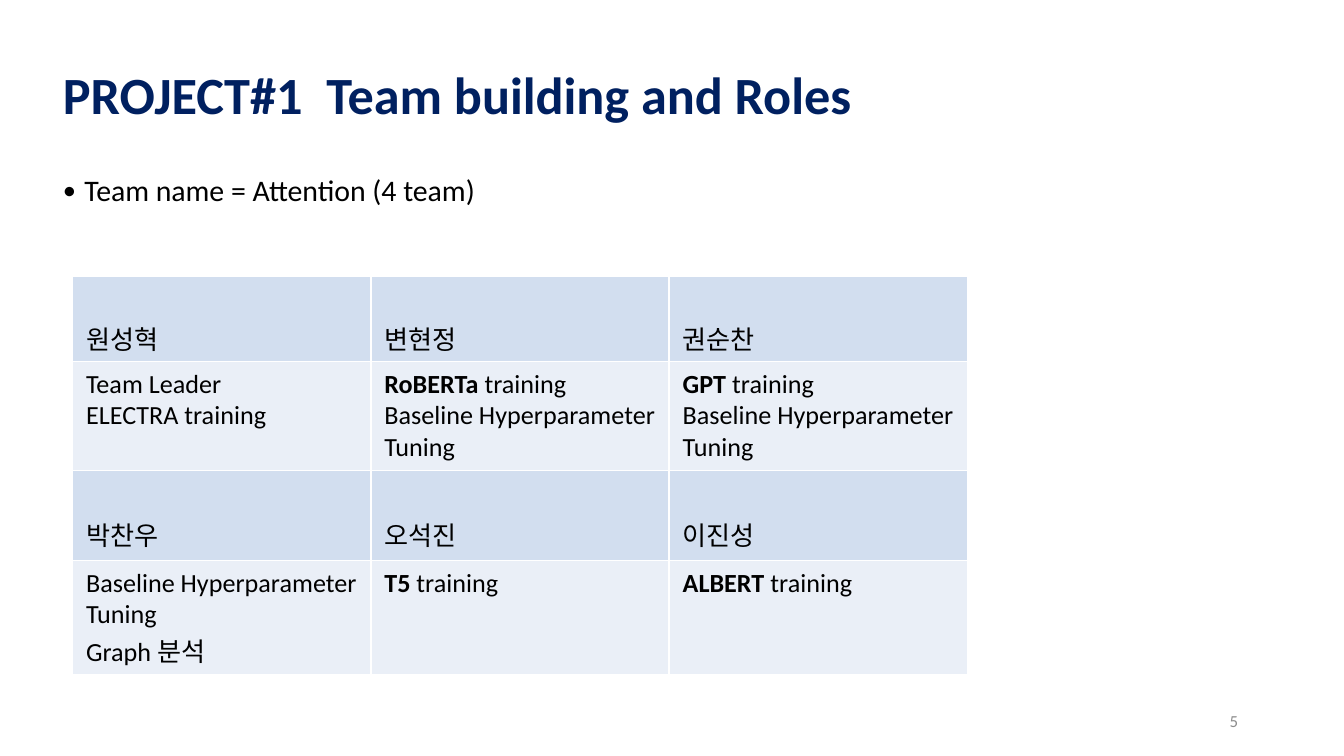
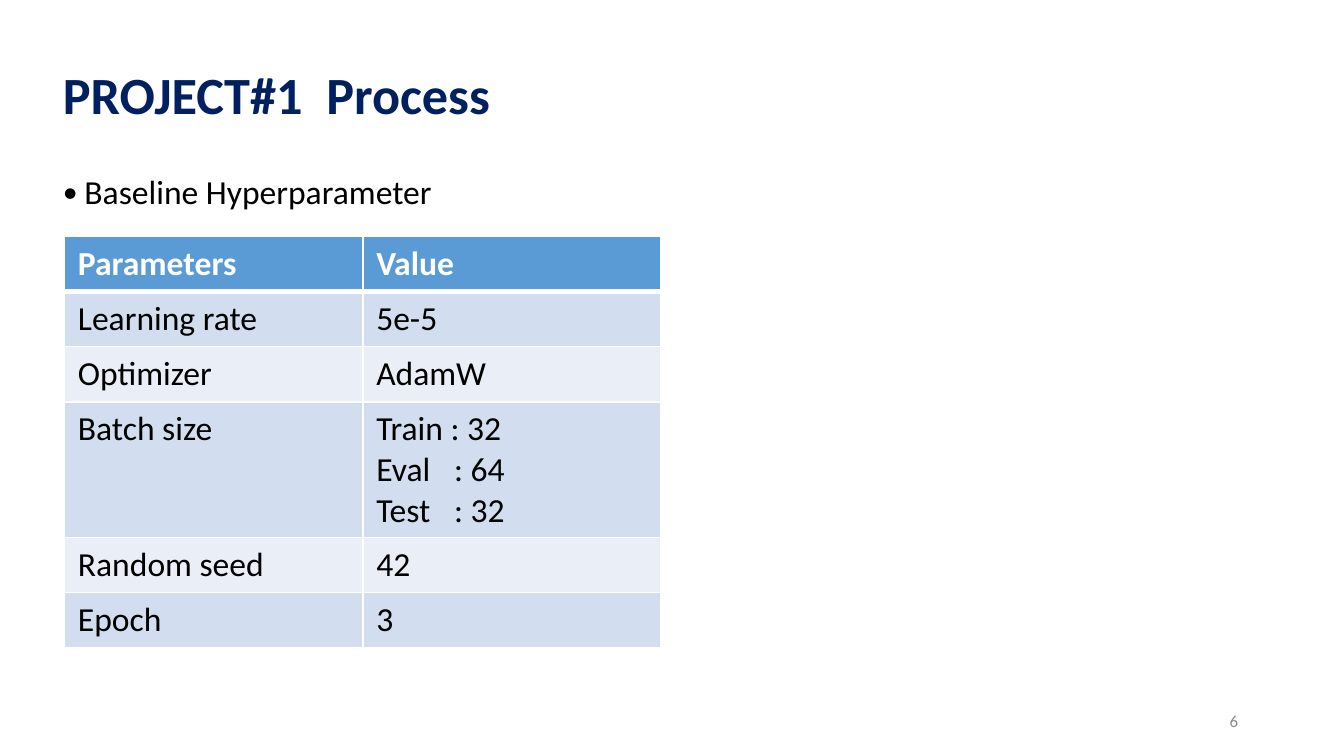
"""Build two project slides: team roles and the baseline process."""
from lxml import etree
from pptx import Presentation
from pptx import util as u
from pptx.dml.color import RGBColor
from pptx.enum import shapes, text
from pptx.oxml.ns import qn

FONT = "Calibri"
NAVY, BLACK, WHITE, GRAY = "002060", "000000", "FFFFFF", "8C8C8C"
HEADER, DARK_BAND, LIGHT_BAND = "5B9BD5", "D2DEEF", "EAEFF7"
COLUMN_WIDTH = 2.22
TITLE_TAB, VALUE_TAB = 1.96, 0.58
BOLD_END = "|"

TEAM = [
    ["", "", ""],
    ["원성혁", "변현정", "권순찬"],
    ["Team Leader\nELECTRA training",
     "RoBERTa| training\nBaseline Hyperparameter Tuning",
     "GPT |training\nBaseline Hyperparameter Tuning"],
    ["박찬우", "오석진", "이진성"],
    ["Baseline Hyperparameter Tuning\nGraph 분석",
     "T5| training", "ALBERT| training"],
]
PARAMETERS = [
    ["Parameters", "Value"],
    ["Learning rate", "5e-5"],
    ["Optimizer", "AdamW"],
    ["Batch size", "Train : 32\nEval\t: 64\nTest\t: 32"],
    ["Random seed", "42"],
    ["Epoch", "3"],
]
SLIDES = [
    dict(number=5, title="PROJECT#1\tTeam building and Roles",
         bullet="Team name = Attention (4 team)", bullet_size=16, space_before=9,
         rows=TEAM, left=0.54, top=1.89, size=14,
         heights=[0.15, 0.65, 0.81, 0.67, 0.85], name_spacing=2),
    dict(number=6, title="PROJECT#1\tProcess",
         bullet="Baseline Hyperparameter", bullet_size=18, space_before=7.5,
         rows=PARAMETERS, left=0.48, top=1.76, size=18,
         heights=[0.41, 0.41, 0.41, 1.01, 0.41, 0.41], name_spacing=1),
]


def color(value):
    return RGBColor.from_string(value)


def format_runs(paragraph, size, ink, bold=False):
    for run in paragraph.runs:
        run.font.name, run.font.size, run.font.bold = FONT, u.Pt(size), bold
        run.font.color.rgb = color(ink)


def add_tab(paragraph, position):
    properties = paragraph._p.get_or_add_pPr()
    stops = etree.SubElement(properties, qn("a:tabLst"))
    etree.SubElement(stops, qn("a:tab"), pos=str(u.Inches(position)), algn="l")


def add_text(slide, box, content, size, ink):
    shape = slide.shapes.add_textbox(*map(u.Inches, box))
    shape.text_frame.word_wrap = True
    shape.text_frame.text = content
    paragraph = shape.text_frame.paragraphs[0]
    format_runs(paragraph, size, ink)
    return shape.text_frame, paragraph


def add_title(slide, content):
    box = map(u.Inches, (0.37, 0.28, 8.79, 0.83))
    shape = slide.shapes.add_shape(shapes.MSO_SHAPE.RECTANGLE, *box)
    shape.shadow.inherit = False
    shape.fill.solid()
    shape.fill.fore_color.rgb = color(WHITE)
    shape.line.fill.background()
    shape.text_frame.text = content
    shape.text_frame.vertical_anchor = text.MSO_ANCHOR.MIDDLE
    paragraph = shape.text_frame.paragraphs[0]
    paragraph.alignment = text.PP_ALIGN.LEFT
    add_tab(paragraph, TITLE_TAB)
    format_runs(paragraph, 28, NAVY, True)


def add_bullet(slide, content, size, space_before):
    paragraph = add_text(slide, (0.37, 1.26, 7.72, 3.81), content, size, BLACK)[1]
    paragraph.line_spacing, paragraph.space_before = 0.9, u.Pt(space_before)
    properties = paragraph._p.get_or_add_pPr()
    indent = u.Inches(0.16)
    properties.set("marL", str(indent))
    properties.set("indent", str(-indent))
    etree.SubElement(properties, qn("a:buSzPct"), val="89000")
    etree.SubElement(properties, qn("a:buFont"), typeface=FONT)
    etree.SubElement(properties, qn("a:buChar"), char="•")


def add_number(slide, number):
    frame, paragraph = add_text(slide, (7.06, 5.21, 2.25, 0.3), str(number), 9, GRAY)
    frame.vertical_anchor = text.MSO_ANCHOR.MIDDLE
    paragraph.alignment = text.PP_ALIGN.RIGHT


def add_borders(cell, bottom_width):
    properties = cell._tc.get_or_add_tcPr()
    widths = {"a:lnL": 1, "a:lnR": 1, "a:lnT": 1, "a:lnB": bottom_width}
    for position, (tag, width) in enumerate(widths.items()):
        line = etree.Element(qn(tag), w=str(u.Pt(width)))
        fill = etree.SubElement(line, qn("a:solidFill"))
        etree.SubElement(fill, qn("a:srgbClr"), val=WHITE)
        properties.insert(position, line)


def fill_cell(cell, content, row_index, size, spacing):
    is_header = row_index == 0
    if not content:
        cell.fill.background()
        end = etree.SubElement(cell.text_frame.paragraphs[0]._p, qn("a:endParaRPr"))
        end.set("sz", "300")
        return
    band = DARK_BAND if row_index % 2 else LIGHT_BAND
    cell.fill.solid()
    cell.fill.fore_color.rgb = color(HEADER if is_header else band)
    cell.text_frame.text = content
    for paragraph, line in zip(cell.text_frame.paragraphs, content.split("\n")):
        strong, bar, rest = line.partition(BOLD_END)
        if bar:
            paragraph.text = strong
            paragraph.add_run().text = rest
        if spacing != 1:
            paragraph.line_spacing = spacing
        if "\t" in line:
            add_tab(paragraph, VALUE_TAB)
        format_runs(paragraph, size, WHITE if is_header else BLACK, is_header)
        if bar:
            paragraph.runs[0].font.bold = True


def add_grid(slide, rows, left, top, size, heights, name_spacing):
    columns = len(rows[0])
    box = (left, top, COLUMN_WIDTH * columns, sum(heights))
    table = slide.shapes.add_table(len(rows), columns, *map(u.Inches, box)).table
    table.horz_banding = False
    for column in table.columns:
        column.width = u.Inches(COLUMN_WIDTH)
    for row_index, (contents, height) in enumerate(zip(rows, heights)):
        table.rows[row_index].height = u.Inches(height)
        spacing = name_spacing if row_index % 2 else 1
        for column_index, content in enumerate(contents):
            cell = table.cell(row_index, column_index)
            fill_cell(cell, content, row_index, size, spacing)
            add_borders(cell, 1 if row_index else 3)


def build_slide(presentation, number, title, bullet, bullet_size, space_before, **grid):
    slide = presentation.slides.add_slide(presentation.slide_layouts[6])
    add_bullet(slide, bullet, bullet_size, space_before)
    add_number(slide, number)
    add_title(slide, title)
    add_grid(slide, **grid)


presentation = Presentation()
presentation.slide_width = u.Inches(10)
presentation.slide_height = presentation.slide_width * 9 // 16
for content in SLIDES:
    build_slide(presentation, **content)
presentation.save("out.pptx")
